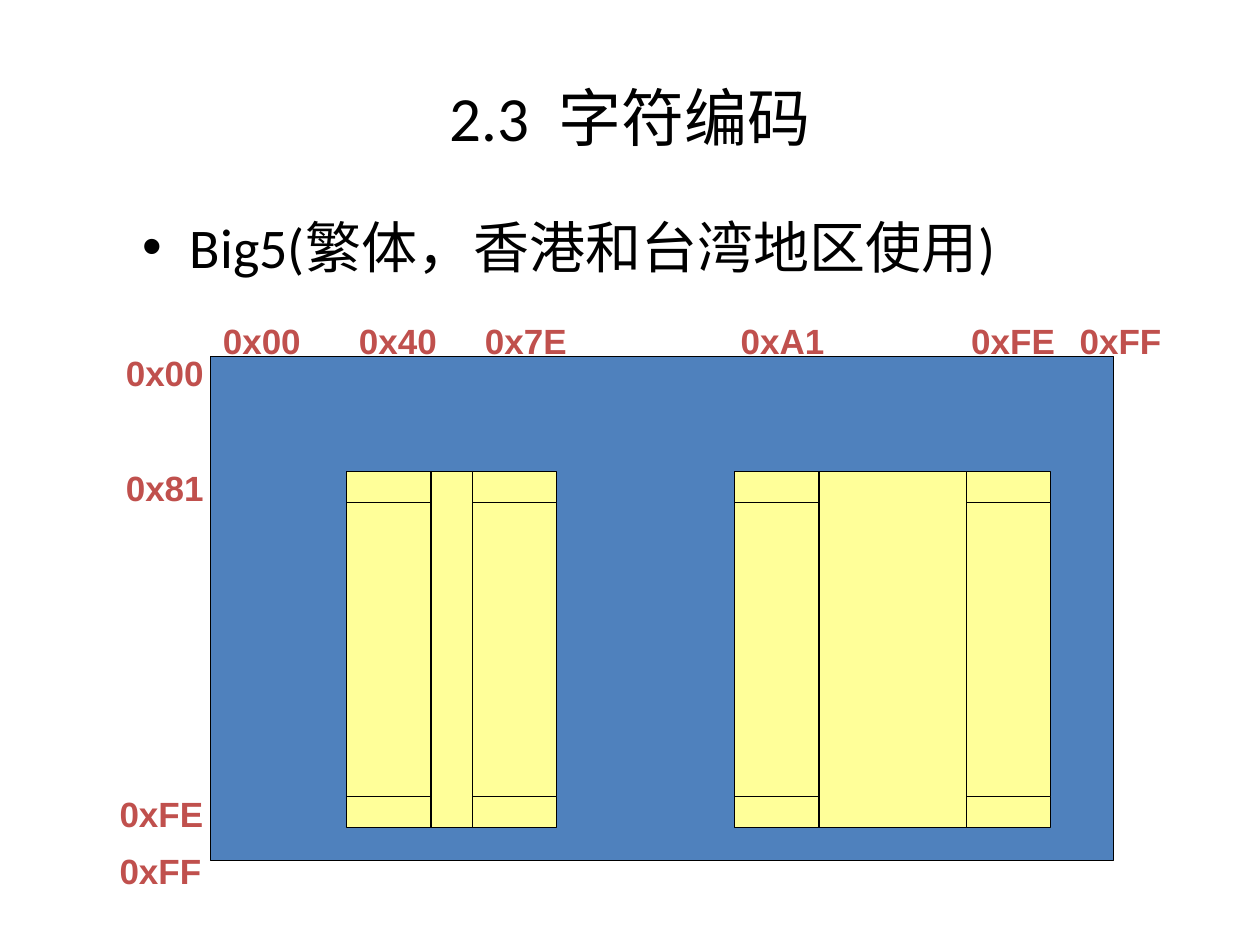
from lxml import etree
from pptx import Presentation
from pptx.dml.color import RGBColor
from pptx.enum.shapes import MSO_SHAPE
from pptx.enum.text import MSO_ANCHOR, PP_ALIGN
from pptx.oxml.ns import qn
from pptx.util import Inches, Pt

RECTANGLE = MSO_SHAPE.RECTANGLE
MIDDLE = MSO_ANCHOR.MIDDLE
CENTER = PP_ALIGN.CENTER

BLACK, BLUE, YELLOW, RED = "000000", "4F81BD", "FFFF99", "C0504D"

TITLE = "2.3  字符编码"
BULLET = "Big5(繁体，香港和台湾地区使用)"
CODE_SPACE = (1.67, 2.83, 7.17, 4)
CELL_WIDTH, CELL_HEIGHT = 0.67, 0.25
LABEL_WIDTH = 0.78
BLOCK_TOP, BLOCK_HEIGHT = 3.74, 2.83
BLOCKS = [(2.75, 0.33), (5.83, 1.17)]
COLUMN_LABEL_TOP = 2.58
COLUMN_LABELS = [("0x00", 1.67), ("0x40", 2.75), ("0x7E", 3.75),
                 ("0xA1", 5.78), ("0xFE", 7.61), ("0xFF", 8.47)]
ROW_LABELS = [("0x00", 0.9, 2.83), ("0x81", 0.9, 3.74),
              ("0xFE", 0.85, 6.33), ("0xFF", 0.85, 6.78)]


def color(value):
    return RGBColor.from_string(value)


def add_run(paragraph, text, size, font_name, font_color, bold=False):
    run = paragraph.add_run()
    run.text = text
    run.font.size = Pt(size)
    run.font.name = font_name
    run.font.bold = bold
    run.font.color.rgb = color(font_color)


def add_rectangle(slide, box, fill):
    shape = slide.shapes.add_shape(RECTANGLE, *map(Inches, box))
    shape.shadow.inherit = False
    shape.fill.solid()
    shape.fill.fore_color.rgb = color(fill)
    shape.line.color.rgb = color(BLACK)
    shape.line.width = Pt(0.75)


def add_label(slide, text, left, top):
    box = (left, top, LABEL_WIDTH, CELL_HEIGHT)
    frame = slide.shapes.add_textbox(*map(Inches, box)).text_frame
    frame.word_wrap = False
    frame.margin_right = 0
    frame.vertical_anchor = MIDDLE
    add_run(frame.paragraphs[0], text, 20, "Arial", RED, bold=True)


def add_title(slide):
    title = slide.shapes.title
    title.left, title.top, title.width, title.height = map(Inches, (0.5, 0.3, 9, 1.25))
    title.text_frame.vertical_anchor = MIDDLE
    paragraph = title.text_frame.paragraphs[0]
    paragraph.alignment = CENTER
    add_run(paragraph, TITLE, 36, "Calibri", BLACK)


def add_bullet(slide):
    frame = slide.shapes.add_textbox(*map(Inches, (1.03, 1.64, 8.5, 5))).text_frame
    frame.word_wrap = True
    paragraph = frame.paragraphs[0]
    paragraph.space_before = Pt(6.4)
    add_run(paragraph, BULLET, 32, "Calibri", BLACK)
    properties = paragraph._p.get_or_add_pPr()
    properties.set("marL", str(Inches(0.38)))
    properties.set("indent", str(-Inches(0.38)))
    etree.SubElement(properties, qn("a:buFont"), typeface="Arial")
    etree.SubElement(properties, qn("a:buChar"), char="•")


def add_block(slide, left, gap):
    bottom_row = BLOCK_TOP + BLOCK_HEIGHT - CELL_HEIGHT
    body_top = BLOCK_TOP + CELL_HEIGHT
    rows = [(BLOCK_TOP, CELL_HEIGHT), (body_top, bottom_row - body_top),
            (bottom_row, CELL_HEIGHT)]
    for column_left in (left, left + CELL_WIDTH + gap):
        for top, height in rows:
            add_rectangle(slide, (column_left, top, CELL_WIDTH, height), YELLOW)
    add_rectangle(slide, (left + CELL_WIDTH, BLOCK_TOP, gap, BLOCK_HEIGHT), YELLOW)


def main():
    presentation = Presentation()
    presentation.slide_width = Inches(10)
    presentation.slide_height = Inches(7.5)
    slide = presentation.slides.add_slide(presentation.slide_layouts[5])
    add_title(slide)
    add_bullet(slide)
    add_rectangle(slide, CODE_SPACE, BLUE)
    for left, gap in BLOCKS:
        add_block(slide, left, gap)
    for text, left in COLUMN_LABELS:
        add_label(slide, text, left, COLUMN_LABEL_TOP)
    for text, left, top in ROW_LABELS:
        add_label(slide, text, left, top)
    presentation.save("out.pptx")


if __name__ == "__main__":
    main()
